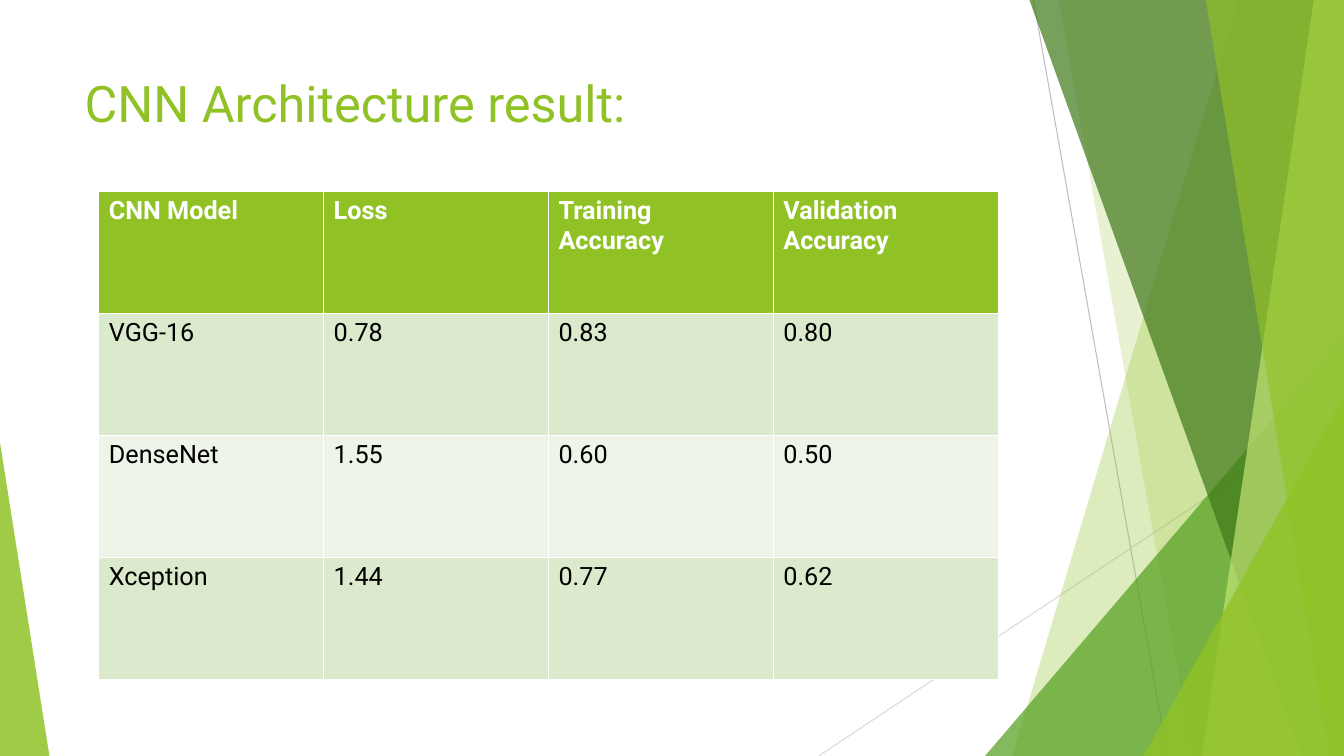
from lxml.etree import SubElement
from pptx import Presentation
from pptx.dml.color import RGBColor
from pptx.enum.shapes import MSO_CONNECTOR, MSO_SHAPE
from pptx.enum.text import MSO_ANCHOR
from pptx.oxml.ns import qn
from pptx.util import Inches, Pt

W, H = 13.33, 7.5
FONT = "Roboto"
GREEN, WHITE, BLACK = "90C226", "FFFFFF", "000000"
BANDS = ["DBE9CD", "EEF4E8"]

TITLE = "CNN Architecture result:"
HEADER = ["CNN Model", "Loss", "Training \nAccuracy", "Validation\nAccuracy"]
RESULTS = [
    ("VGG-16", "0.78", "0.83", "0.80"),
    ("DenseNet", "1.55", "0.60", "0.50"),
    ("Xception", "1.44", "0.77", "0.62"),
]
TABLE_LEFT, TABLE_TOP, COL_W, ROW_H = 0.98, 1.9, 2.23, 1.21

# start, end, colour
LINES = [
    ((10.25, 0), (11.58, H), "BFBFBF"),
    ((W, 4.03), (8.12, H), "D9D9D9"),
]
# Facets run to the right edge: (top x, bottom x, colour, opacity %)
# Triangles stand on the bottom edge: (left, top, width, apex share, colour, opacity %)
FACETS = [
    (12.28, 10.04, GREEN, 30),
    (10.5, 11.83, GREEN, 20),
    (9.77, 3.33, 3.56, 1, "54A021", 72),
    (10.21, 12.91, "3F7819", 70),
    (13.03, 11.92, "C0E474", 70),
    (11.96, 13.18, GREEN, 65),
    (11.34, 3.93, 1.99, 1, GREEN, 80),
    (0, 4.39, 0.49, 0, GREEN, 85),
]


def rgb(color):
    return RGBColor.from_string(color)


def write(tf, text, size=18, color=BLACK, bold=False):
    tf.text = text
    for p in tf.paragraphs:
        for r in p.runs:
            r.font.name, r.font.size, r.font.bold = FONT, Pt(size), bold
            r.font.color.rgb = rgb(color)


def paint(sp, color, opacity):
    sp.shadow.inherit = False
    sp.line.fill.background()
    sp.fill.solid()
    sp.fill.fore_color.rgb = rgb(color)
    clr = sp.fill._xPr.find(".//" + qn("a:srgbClr"))
    SubElement(clr, qn("a:alpha"), val=str(opacity * 1000))


def add_line(s, start, end, color):
    ln = s.shapes.add_connector(MSO_CONNECTOR.STRAIGHT, *map(Inches, start + end))
    ln.line.color.rgb = rgb(color)
    ln.line.width = Pt(0.75)
    SubElement(ln._element.spPr, qn("a:effectLst"))


def add_facet(s, top_x, bottom_x, color, opacity):
    corners = [(top_x, 0), (W, 0), (W, H), (bottom_x, H)]
    points = [(Inches(x), Inches(y)) for x, y in corners]
    fb = s.shapes.build_freeform(*points[0], scale=1)
    fb.add_line_segments(points[1:], close=True)
    paint(fb.convert_to_shape(), color, opacity)


def add_triangle(s, left, top, width, apex, color, opacity):
    box = map(Inches, (left, top, width, H - top))
    sp = s.shapes.add_shape(MSO_SHAPE.ISOSCELES_TRIANGLE, *box)
    sp.adjustments[0] = apex
    paint(sp, color, opacity)


def add_results(s):
    rows = [HEADER, *RESULTS]
    n_rows, n_cols = len(rows), len(HEADER)
    box = map(Inches, (TABLE_LEFT, TABLE_TOP, n_cols * COL_W, n_rows * ROW_H))
    table = s.shapes.add_table(n_rows, n_cols, *box).table
    for i, row in enumerate(rows):
        head = i == 0
        for j, text in enumerate(row):
            cell = table.cell(i, j)
            cell.fill.solid()
            cell.fill.fore_color.rgb = rgb(GREEN if head else BANDS[(i - 1) % 2])
            write(cell.text_frame, text, color=WHITE if head else BLACK, bold=head)


def main():
    prs = Presentation()
    prs.slide_width, prs.slide_height = Inches(W), Inches(H)
    s = prs.slides.add_slide(prs.slide_layouts[5])

    for line in LINES:
        add_line(s, *line)
    for facet in FACETS:
        add = add_facet if len(facet) == 4 else add_triangle
        add(s, *facet)

    title = s.shapes.title
    title.left, title.top, title.width, title.height = map(Inches, (0.74, 0.67, 9.4, 1.44))
    tf = title.text_frame
    tf.vertical_anchor = MSO_ANCHOR.TOP
    write(tf, TITLE, size=36, color=GREEN)
    tf.paragraphs[0].alignment = 1

    add_results(s)
    prs.save("out.pptx")


if __name__ == "__main__":
    main()
